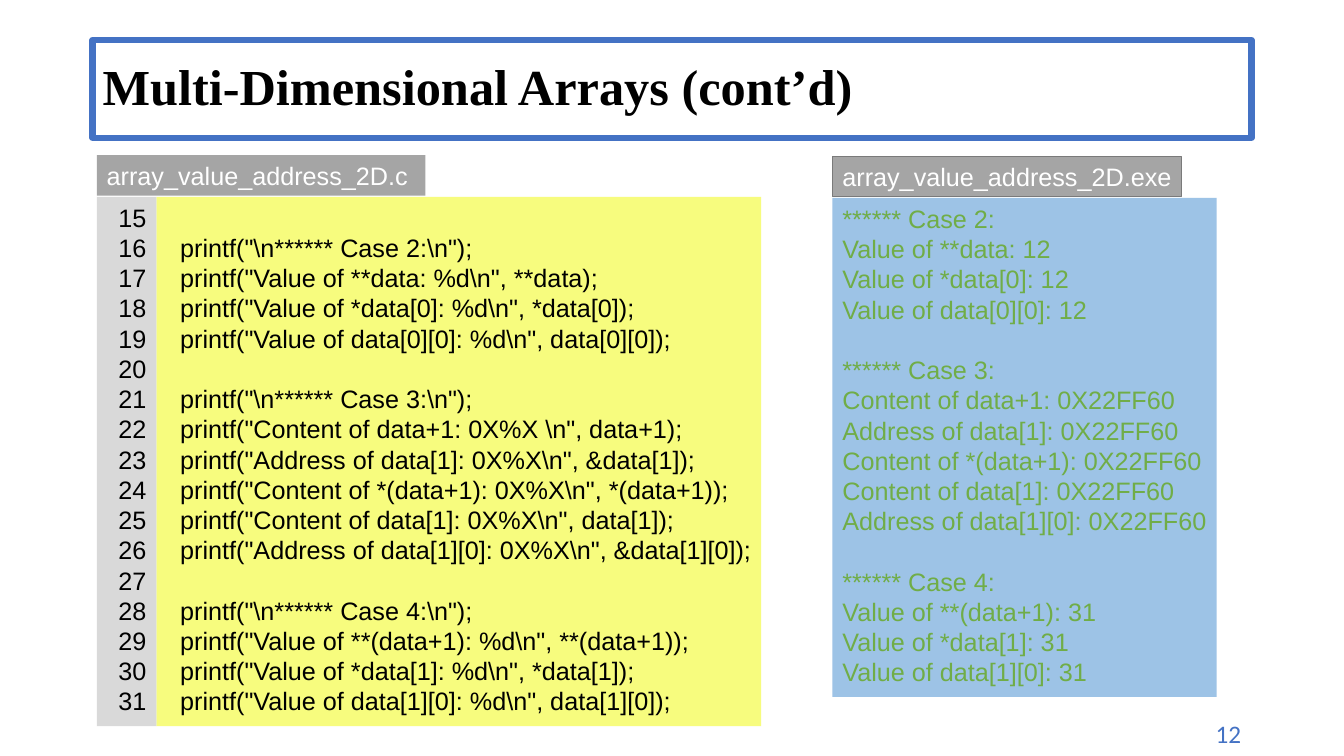
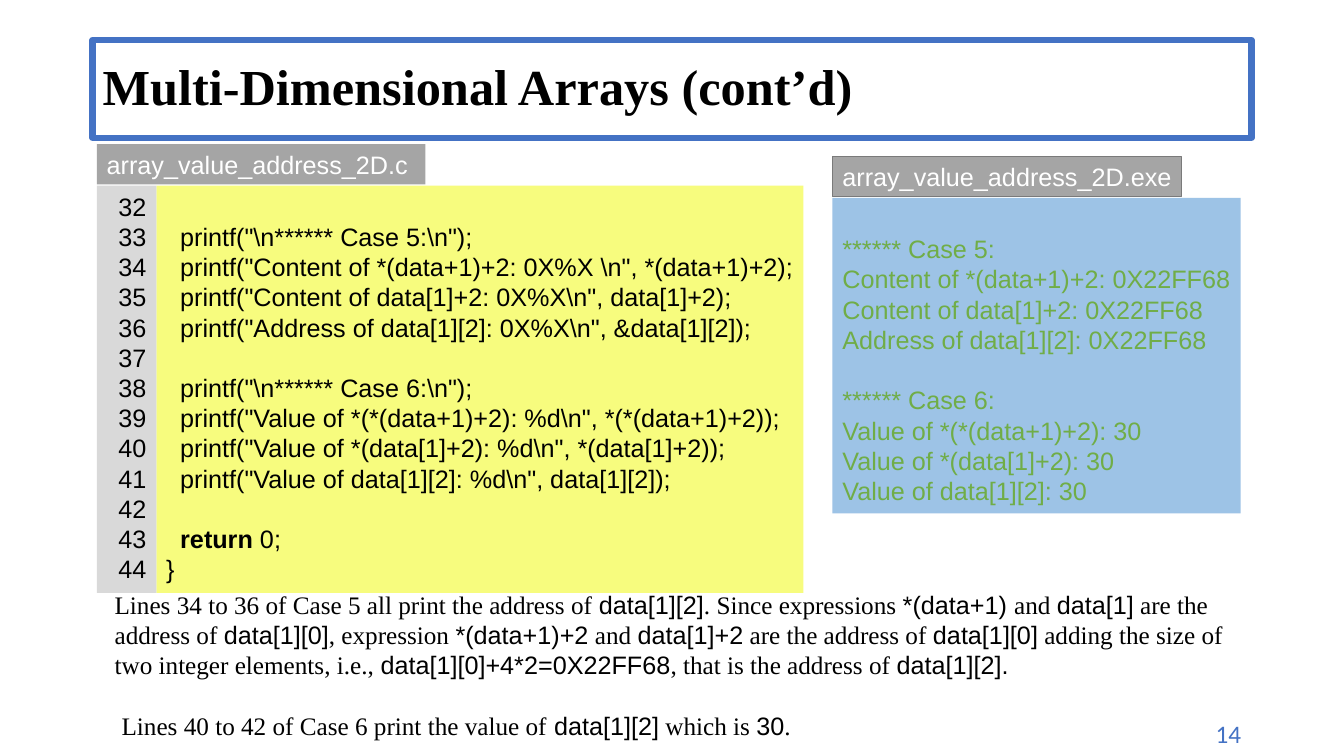
from dataclasses import dataclass

from pptx import Presentation
from pptx.dml.color import RGBColor
from pptx.enum.shapes import MSO_SHAPE
from pptx.enum.text import MSO_ANCHOR, MSO_AUTO_SIZE, PP_ALIGN
from pptx.util import Cm, Pt

RECTANGLE = MSO_SHAPE.RECTANGLE
LEFT, RIGHT = PP_ALIGN.LEFT, PP_ALIGN.RIGHT
TOP, MIDDLE = MSO_ANCHOR.TOP, MSO_ANCHOR.MIDDLE
FIXED = MSO_AUTO_SIZE.NONE


@dataclass(frozen=True)
class Theme:
    accent: str = "4472C4"
    ink: str = "000000"
    tab: str = "A5A5A5"
    tab_edge: str = "7A7A7A"
    tab_ink: str = "FFFFFF"
    gutter: str = "D9D9D9"
    code: str = "F7FC7E"
    output: str = "9DC3E6"
    output_ink: str = "70AD47"
    sans: str = "Arial"
    serif: str = "Times New Roman"
    number_font: str = "Calibri"
    title_size: int = 36
    body_size: int = 18
    line_pitch: float = 21.6


THEME = Theme()

TITLE = "Multi-Dimensional Arrays (cont’d)"
SOURCE_NAME = "array_value_address_2D.c"
PROGRAM_NAME = "array_value_address_2D.exe"

SLIDES = [
    {
        "number": 12,
        "first_line": 15,
        "code_top": 3.91,
        "code_width": 15.24,
        "output_width": 9.68,
        "code": [
            "",
            r'  printf("\n****** Case 2:\n");',
            r'  printf("Value of **data: %d\n", **data);',
            r'  printf("Value of *data[0]: %d\n", *data[0]);',
            r'  printf("Value of data[0][0]: %d\n", data[0][0]);',
            "",
            r'  printf("\n****** Case 3:\n");',
            r'  printf("Content of data+1: 0X%X \n", data+1);',
            r'  printf("Address of data[1]: 0X%X\n", &data[1]);',
            r'  printf("Content of *(data+1): 0X%X\n", *(data+1));',
            r'  printf("Content of data[1]: 0X%X\n", data[1]);',
            r'  printf("Address of data[1][0]: 0X%X\n", &data[1][0]);',
            "",
            r'  printf("\n****** Case 4:\n");',
            r'  printf("Value of **(data+1): %d\n", **(data+1));',
            r'  printf("Value of *data[1]: %d\n", *data[1]);',
            r'  printf("Value of data[1][0]: %d\n", data[1][0]);',
        ],
        "output": [
            "****** Case 2:",
            "Value of **data: 12",
            "Value of *data[0]: 12",
            "Value of data[0][0]: 12",
            "",
            "****** Case 3:",
            "Content of data+1: 0X22FF60",
            "Address of data[1]: 0X22FF60",
            "Content of *(data+1): 0X22FF60",
            "Content of data[1]: 0X22FF60",
            "Address of data[1][0]: 0X22FF60",
            "",
            "****** Case 4:",
            "Value of **(data+1): 31",
            "Value of *data[1]: 31",
            "Value of data[1][0]: 31",
        ],
        "note": [],
    },
    {
        "number": 14,
        "first_line": 32,
        "code_top": 3.63,
        "code_width": 16.31,
        "output_width": 10.29,
        "code": [
            "",
            r'  printf("\n****** Case 5:\n");',
            r'  printf("Content of *(data+1)+2: 0X%X \n", *(data+1)+2);',
            r'  printf("Content of data[1]+2: 0X%X\n", data[1]+2);',
            r'  printf("Address of data[1][2]: 0X%X\n", &data[1][2]);',
            "",
            r'  printf("\n****** Case 6:\n");',
            r'  printf("Value of *(*(data+1)+2): %d\n", *(*(data+1)+2));',
            r'  printf("Value of *(data[1]+2): %d\n", *(data[1]+2));',
            r'  printf("Value of data[1][2]: %d\n", data[1][2]);',
            "",
            "  `return `0;",
            "}",
        ],
        "output": [
            "",
            "****** Case 5:",
            "Content of *(data+1)+2: 0X22FF68",
            "Content of data[1]+2: 0X22FF68",
            "Address of data[1][2]: 0X22FF68",
            "",
            "****** Case 6:",
            "Value of *(*(data+1)+2): 30",
            "Value of *(data[1]+2): 30",
            "Value of data[1][2]: 30",
        ],
        "note": [
            "Lines 34 to 36 of Case 5 all print the address of `data[1][2]`. "
            "Since expressions `*(data+1) `and `data[1]` are the address of "
            "`data[1][0]`, expression `*(data+1)+2` and `data[1]+2` are the "
            "address of `data[1][0]` adding the size of two integer elements, "
            "i.e., `data[1][0]+4*2=0X22FF68`, that is the address of `data[1][2].`",
            "",
            " Lines 40 to 42 of Case 6 print the value of` data[1][2]` which is `30`.",
        ],
    },
]

CODE_LEFT, GUTTER_WIDTH, CODE_TAB_WIDTH = 2.44, 1.5, 8.28
OUTPUT_LEFT, OUTPUT_TOP, OUTPUT_TAB_WIDTH = 20.98, 3.94, 8.79
TAB_HEIGHT, TAB_STEP = 1.02, 1.05
ROW_HEIGHT, PANEL_PADDING = 0.77, 0.25
SPACE_WIDTH = 0.176
INSET, INSET_TOP = 0.25, 0.13


def color(value):
    return RGBColor.from_string(value)


def add_span(para, text, font, ink, size=THEME.body_size, bold=False):
    span = para.add_run()
    span.text = text
    span.font.name = font
    span.font.size = Pt(size)
    span.font.bold = bold
    span.font.color.rgb = color(ink)


def write_lines(box, lines, ink=THEME.ink, font=THEME.sans, align=LEFT,
                marked_font=THEME.sans, marked_bold=False):
    frame = box.text_frame
    frame.word_wrap = True
    frame.auto_size = FIXED
    frame.vertical_anchor = TOP
    frame.margin_left = Cm(INSET)
    frame.margin_right = Cm(INSET if align == RIGHT else 0)
    frame.margin_top = Cm(INSET_TOP)
    frame.margin_bottom = 0
    started, gap = False, 0
    for line in lines:
        if not line:
            gap += THEME.line_pitch
            continue
        para = frame.add_paragraph() if started else frame.paragraphs[0]
        if started:
            para.space_before = Pt(gap)
        else:
            frame.margin_top = Cm(INSET_TOP) + Pt(gap)
        started, gap = True, 0
        para.alignment = align
        para.line_spacing = Pt(THEME.line_pitch)
        text = line.lstrip()
        indent = Cm((len(line) - len(text)) * SPACE_WIDTH)
        if indent:
            properties = para._p.get_or_add_pPr()
            properties.set("marL", str(indent))
            properties.set("indent", "0")
        for index, piece in enumerate(text.split("`")):
            marked = index % 2 == 1
            if piece:
                add_span(para, piece, marked_font if marked else font, ink,
                         bold=marked and marked_bold)


def add_panel(page, place, fill, edge=None):
    box = page.shapes.add_shape(RECTANGLE, *map(Cm, place))
    box.shadow.inherit = False
    box.fill.solid()
    box.fill.fore_color.rgb = color(fill)
    if edge:
        box.line.color.rgb = color(edge)
        box.line.width = Pt(1)
    else:
        box.line.fill.background()
    return box


def panel_height(lines):
    return len(lines) * ROW_HEIGHT + PANEL_PADDING


def add_title(page):
    box = page.shapes.title
    box.left, box.top, box.width, box.height = map(Cm, (2.33, 1.01, 29.21, 2.46))
    box.line.color.rgb = color(THEME.accent)
    box.line.width = Pt(4.5)
    frame = box.text_frame
    frame.auto_size = FIXED
    frame.vertical_anchor = MIDDLE
    para = frame.paragraphs[0]
    para.alignment = LEFT
    para.line_spacing = 0.9
    add_span(para, TITLE, THEME.serif, THEME.ink, THEME.title_size, True)


def add_page_number(page, number):
    box = page.shapes.add_textbox(*map(Cm, (27.54, 17.98, 3.99, 1.02)))
    write_lines(box, [str(number)], THEME.accent, THEME.number_font, RIGHT)


def add_code(page, content):
    lines, top = content["code"], content["code_top"]
    height = panel_height(lines)
    tab = add_panel(page, (CODE_LEFT, top, CODE_TAB_WIDTH, TAB_HEIGHT), THEME.tab)
    write_lines(tab, [SOURCE_NAME], THEME.tab_ink)
    top += TAB_STEP
    listing = add_panel(page, (CODE_LEFT + GUTTER_WIDTH, top,
                               content["code_width"], height), THEME.code)
    write_lines(listing, lines, marked_bold=True)
    gutter = add_panel(page, (CODE_LEFT, top, GUTTER_WIDTH, height), THEME.gutter)
    first = content["first_line"]
    write_lines(gutter, map(str, range(first, first + len(lines))), align=RIGHT)


def add_output(page, content):
    lines = content["output"]
    screen = add_panel(page, (OUTPUT_LEFT, OUTPUT_TOP + TAB_STEP,
                              content["output_width"], panel_height(lines)),
                       THEME.output)
    write_lines(screen, lines, THEME.output_ink)
    tab = add_panel(page, (OUTPUT_LEFT, OUTPUT_TOP, OUTPUT_TAB_WIDTH, TAB_HEIGHT),
                    THEME.tab, THEME.tab_edge)
    write_lines(tab, [PROGRAM_NAME], THEME.tab_ink)


def add_note(page, lines):
    box = page.shapes.add_textbox(*map(Cm, (2.64, 14.71, 28.9, 4.09)))
    write_lines(box, lines, font=THEME.serif)


def main():
    deck = Presentation()
    deck.slide_width, deck.slide_height = Cm(33.87), Cm(19.05)
    title_only = deck.slide_layouts[5]
    for content in SLIDES:
        page = deck.slides.add_slide(title_only)
        add_page_number(page, content["number"])
        add_title(page)
        add_code(page, content)
        add_output(page, content)
        if content["note"]:
            add_note(page, content["note"])
    deck.save("out.pptx")


if __name__ == "__main__":
    main()
